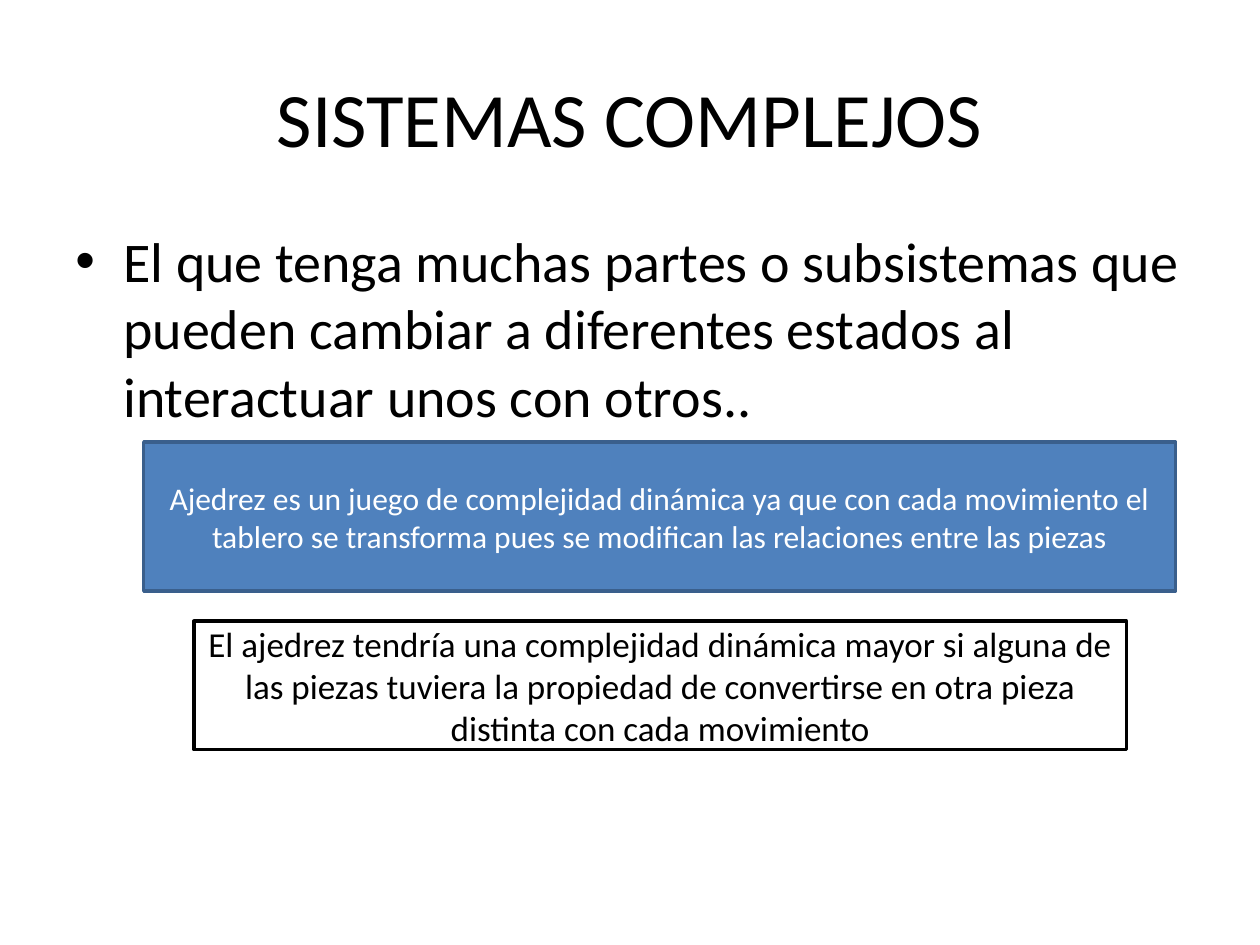
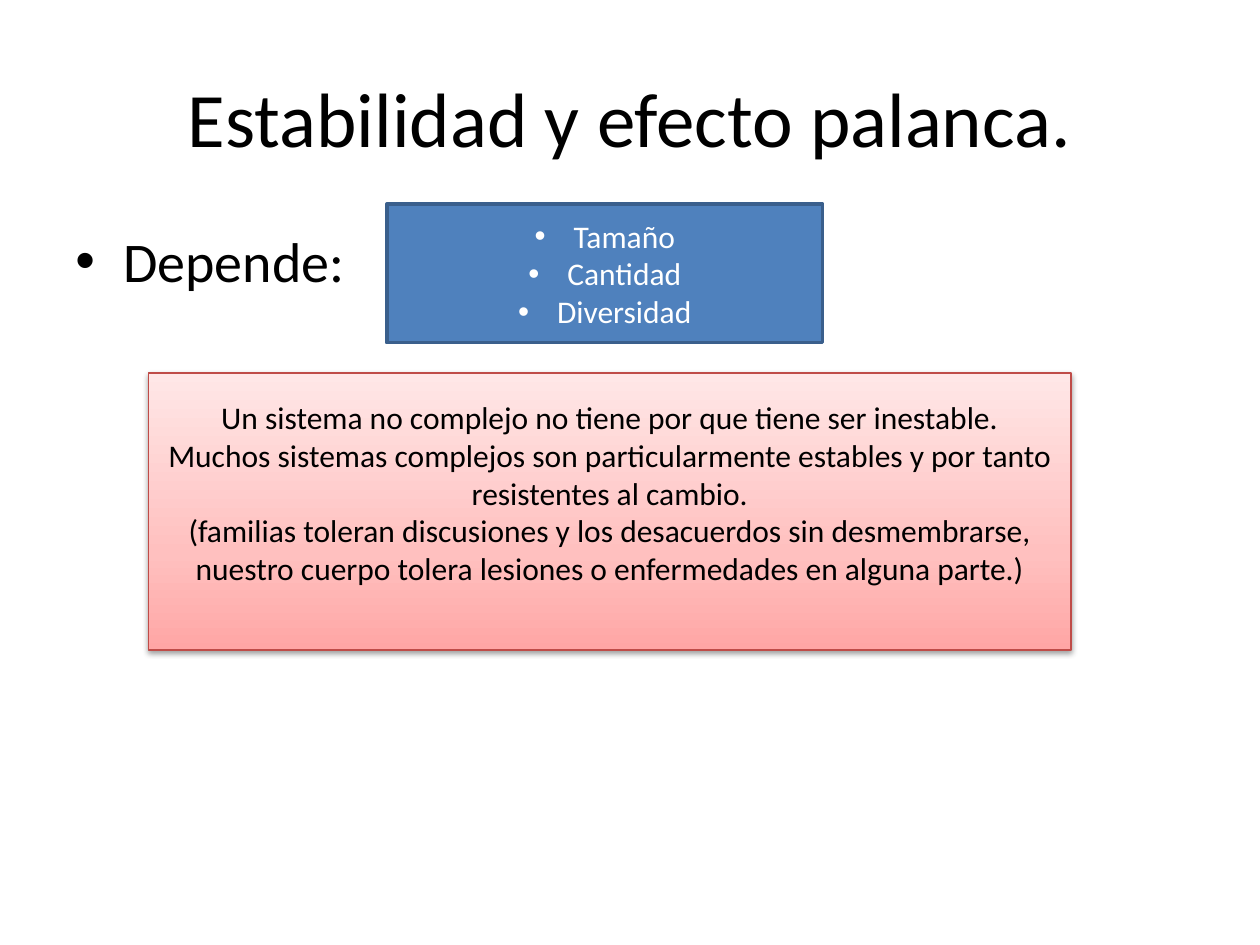
"""Builds two slides on complex systems, their stability and the lever effect."""
from lxml import etree
from pptx import Presentation
from pptx import util as u
from pptx.dml.color import RGBColor
from pptx.enum import shapes, text
from pptx.oxml import ns

EMU_PER_PX = 9144
FONT = "Calibri"
COLORS = {
    "black": "000000",
    "white": "FFFFFF",
    "blue": "4F81BD",
    "blue_edge": "3A5F8C",
    "red_edge": "BF4C48",
    "pink_deep": "FFA6A5",
    "pink_mid": "FFC0BF",
    "pink_pale": "FFE7E7",
}
PINK_STOPS = ((0, "pink_deep"), (35, "pink_mid"), (100, "pink_pale"))


def px(length):
    """Turn whole px, 100 to the inch, into EMU."""
    return u.Emu(length * EMU_PER_PX)


def rgb(color):
    """Look up a named colour."""
    return RGBColor.from_string(COLORS[color])


def add_child(parent, tag, **attributes):
    """Append a drawing element with its attributes."""
    child = etree.SubElement(parent, ns.qn(tag))
    for key, value in attributes.items():
        child.set(key, str(value))
    return child


def write(holder, lines, size, color="black", align=text.PP_ALIGN.CENTER,
          anchor=text.MSO_ANCHOR.MIDDLE, hanging=0, before=0):
    """Write one paragraph per line; a hanging indent brings a bullet."""
    frame = holder.text_frame
    frame.word_wrap = True
    frame.vertical_anchor = anchor
    frame.text = "\n".join(lines)
    for paragraph in frame.paragraphs:
        paragraph.alignment = align
        paragraph.space_before = u.Pt(before)
        font = paragraph.runs[0].font
        font.name, font.size = FONT, u.Pt(size)
        font.color.rgb = rgb(color)
        if hanging:
            properties = paragraph._p.get_or_add_pPr()
            properties.set("marL", str(px(hanging)))
            properties.set("indent", str(-px(hanging)))
            add_child(properties, "a:buFont", typeface="Arial")
            add_child(properties, "a:buChar", char="•")


def add_titled_slide(deck, title, statement):
    """Add a slide with its title and its bulleted statement."""
    slide = deck.slides.add_slide(deck.slide_layouts[5])
    heading = slide.shapes.title
    heading.left, heading.top = px(50), px(30)
    heading.width, heading.height = px(900), px(125)
    write(heading, [title], 44)
    body = slide.shapes.add_textbox(px(50), px(175), px(900), px(495))
    write(body, [statement], 32, align=text.PP_ALIGN.LEFT,
          anchor=text.MSO_ANCHOR.TOP, hanging=38, before=6.4)
    return slide


def add_panel(slide, box, lines, size, color, fill, edge, edge_width=2, hanging=0):
    """Add a bordered rectangle with centred text."""
    panel = slide.shapes.add_shape(shapes.MSO_SHAPE.RECTANGLE, *map(px, box))
    panel.shadow.inherit = False
    panel.fill.solid()
    panel.fill.fore_color.rgb = rgb(fill)
    panel.line.color.rgb = rgb(edge)
    panel.line.width = u.Pt(edge_width)
    write(panel, lines, size, color, hanging=hanging)
    return panel


def shade(panel, stops):
    """Give a panel an upward gradient and a soft shadow below."""
    properties = panel._element.spPr
    solid = properties.find(ns.qn("a:solidFill"))
    gradient = etree.Element(ns.qn("a:gradFill"), rotWithShape="1")
    stop_list = add_child(gradient, "a:gsLst")
    for position, color in stops:
        stop = add_child(stop_list, "a:gs", pos=position * 1000)
        add_child(stop, "a:srgbClr", val=COLORS[color])
    add_child(gradient, "a:lin", ang=270 * 60000, scaled=1)
    properties.replace(solid, gradient)
    shadow = add_child(properties.find(ns.qn("a:effectLst")), "a:outerShdw",
                       blurRad=u.Pt(3.1), dist=u.Pt(1.6), dir=90 * 60000,
                       rotWithShape=0)
    tint = add_child(shadow, "a:srgbClr", val=COLORS["black"])
    add_child(tint, "a:alpha", val=38000)


def build_complex_systems(deck):
    """Build the slide that defines complex systems with chess."""
    slide = add_titled_slide(
        deck, "SISTEMAS COMPLEJOS",
        "El que tenga muchas partes o subsistemas que pueden cambiar a "
        "diferentes estados al interactuar unos con otros..")
    add_panel(slide, (114, 351, 819, 118),
              ["Ajedrez es un juego de complejidad dinámica ya que con cada "
               "movimiento el tablero se transforma pues se modifican las "
               "relaciones entre las piezas"],
              18, "white", "blue", "blue_edge")
    add_panel(slide, (154, 493, 740, 102),
              ["El ajedrez tendría una complejidad dinámica mayor si alguna de "
               "las piezas tuviera la propiedad de convertirse en otra pieza "
               "distinta con cada movimiento"],
              20, "black", "white", "black")


def build_stability(deck):
    """Build the slide on stability and the lever effect."""
    slide = add_titled_slide(deck, "Estabilidad y efecto palanca.", "Depende:")
    add_panel(slide, (307, 162, 346, 110), ["Tamaño", "Cantidad", "Diversidad"],
              18, "white", "blue", "blue_edge", hanging=31)
    stability = add_panel(
        slide, (118, 296, 732, 220),
        ["Un sistema no complejo no tiene por que tiene ser inestable.",
         "Muchos sistemas complejos son particularmente estables y por tanto "
         "resistentes al cambio.",
         "(familias toleran discusiones y los desacuerdos sin desmembrarse, "
         "nuestro cuerpo tolera lesiones o enfermedades en alguna parte.)"],
        18, "black", "pink_mid", "red_edge", edge_width=0.75)
    stability.text_frame.margin_bottom = px(35)
    shade(stability, PINK_STOPS)


def main():
    """Build and save the deck."""
    deck = Presentation()
    deck.slide_width, deck.slide_height = px(1000), px(750)
    build_complex_systems(deck)
    build_stability(deck)
    deck.save("out.pptx")


if __name__ == "__main__":
    main()
